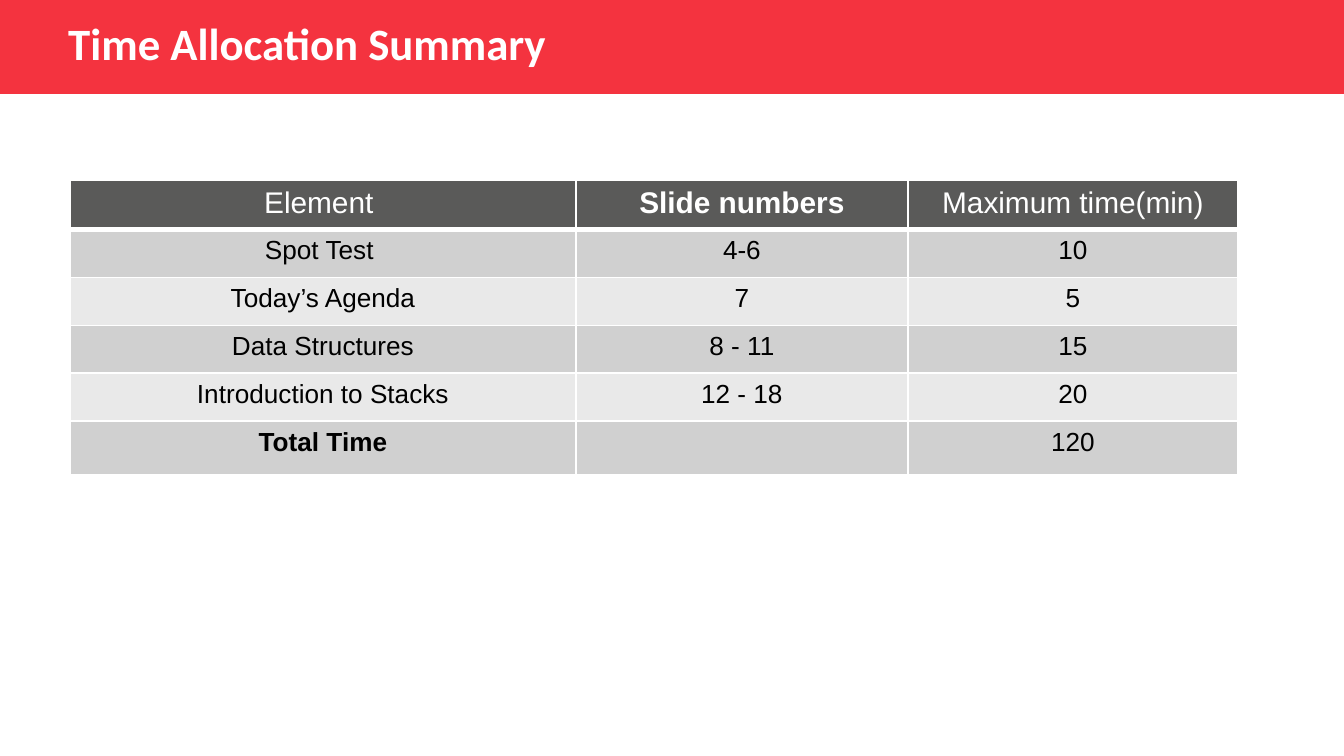
from lxml import etree
from pptx import Presentation
from pptx.dml.color import RGBColor
from pptx.enum.shapes import MSO_SHAPE
from pptx.enum.text import MSO_ANCHOR, PP_ALIGN
from pptx.oxml.ns import qn
from pptx.util import Pt

RECT = MSO_SHAPE.RECTANGLE
MIDDLE = MSO_ANCHOR.MIDDLE
LEFT, CENTER = PP_ALIGN.LEFT, PP_ALIGN.CENTER
SLIDE_W, SLIDE_H = 1344, 756
SCALE = 9144000 / SLIDE_W
COLORS = {
    "banner": "F4333F",
    "header": "5A5A59",
    "odd": "D0D0D0",
    "even": "E9E9E9",
    "white": "FFFFFF",
    "black": "000000",
}
COL_WIDTHS = [506, 332, 330]
ROW_HEIGHTS = [48] * 5 + [50]
ROWS = [
    ["Element ", "Slide numbers", "Maximum time(min)"],
    ["Spot Test ", "4-6", "10"],
    ["Today’s Agenda", "7", "5"],
    ["Data Structures", "8 - 11", "15"],
    ["Introduction to Stacks", "12 - 18", "20"],
    ["Total Time", "", "120"],
]
BOLD_CELLS = {"Slide numbers", "Total Time"}


def px(n):
    """Convert pixels to EMU."""
    return round(n * SCALE)


def rgb(name):
    """Look up a palette colour."""
    return RGBColor.from_string(COLORS[name])


def fill_solid(item, color):
    """Fill a shape or cell with one colour."""
    item.fill.solid()
    item.fill.fore_color.rgb = rgb(color)


def write_text(tf, text, *, size, color, font="Arial", bold=False, align=LEFT, before=0):
    """Write one formatted paragraph into a text frame."""
    p = tf.paragraphs[0]
    p.alignment = align
    p.space_before = Pt(before)
    r = p.add_run()
    r.text = text
    r.font.name = font
    r.font.size = Pt(size)
    r.font.bold = bold
    r.font.color.rgb = rgb(color)


def set_borders(cell, color, **widths):
    """Draw cell borders with widths in points, keyed by side."""
    tc_pr = cell._tc.get_or_add_tcPr()
    for i, side in enumerate("LRTB"):
        ln = etree.Element(qn(f"a:ln{side}"), w=str(Pt(widths.get(side, 1))))
        fill = etree.SubElement(ln, qn("a:solidFill"))
        etree.SubElement(fill, qn("a:srgbClr"), val=COLORS[color])
        tc_pr.insert(i, ln)


def add_banner(s, x, y, w, h):
    """Add the title band and its heading."""
    sp = s.shapes.add_shape(RECT, px(x), px(y), px(w), px(h))
    sp.shadow.inherit = False
    fill_solid(sp, "banner")
    sp.line.fill.background()
    box = s.shapes.add_textbox(px(x + 55), px(y - 15), px(898), px(116))
    tf = box.text_frame
    tf.word_wrap = True
    tf.vertical_anchor = MIDDLE
    write_text(tf, "Time Allocation Summary", size=24, color="white",
               font="Calibri", bold=True, before=10)


def add_time_table(s, x, y, w, h):
    """Add the table of slide ranges and times."""
    frame = s.shapes.add_table(len(ROWS), len(COL_WIDTHS), px(x), px(y), px(w), px(h))
    table = frame.table
    for col, width in zip(table.columns, COL_WIDTHS):
        col.width = px(width)
    for i, (row, height, texts) in enumerate(zip(table.rows, ROW_HEIGHTS, ROWS)):
        row.height = px(height)
        header = i == 0
        color = "header" if header else "odd" if i % 2 else "even"
        for cell, text in zip(row.cells, texts):
            fill_solid(cell, color)
            set_borders(cell, "white", T=3 if i == 1 else 1, B=3 if header else 1)
            if text:
                write_text(cell.text_frame, text, size=16 if header else 14,
                           color="white" if header else "black",
                           bold=text in BOLD_CELLS, align=CENTER)


def main():
    """Build and save the slide."""
    prs = Presentation()
    prs.slide_width, prs.slide_height = px(SLIDE_W), px(SLIDE_H)
    s = prs.slides.add_slide(prs.slide_layouts[6])
    add_banner(s, 0, 0, SLIDE_W, 94)
    add_time_table(s, 70, 180, sum(COL_WIDTHS), sum(ROW_HEIGHTS))
    prs.save("out.pptx")


if __name__ == "__main__":
    main()
